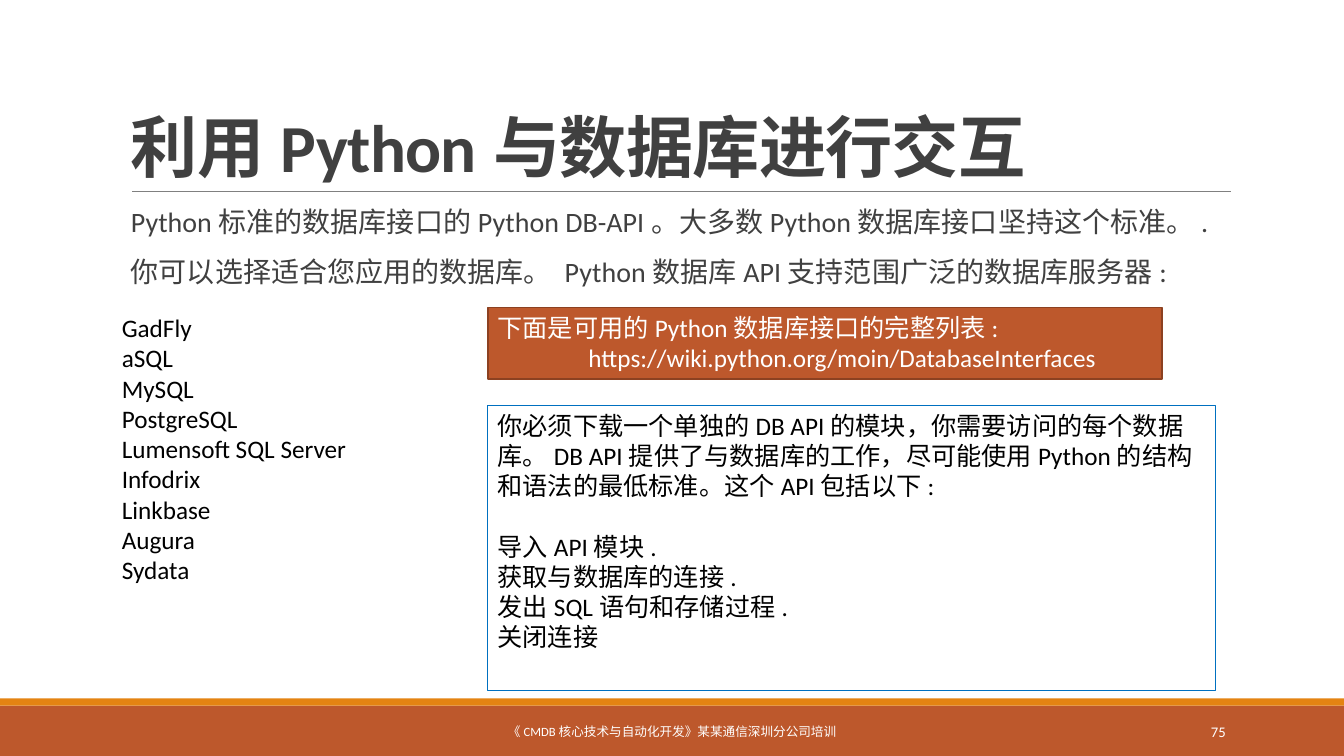
"""Build the slide on working with databases from Python."""
import pptx
import pptx.dml.color
import pptx.enum.shapes
import pptx.enum.text
import pptx.oxml.ns
import pptx.util
from lxml import etree
from pptx.util import Cm

COLORS = {
    "rust": "BD582C", "rust_dark": "8C4121", "orange": "E48312", "blue": "0070C0",
    "gray": "808080", "text": "404040", "black": "000000", "white": "FFFFFF",
}
ALIGN = pptx.enum.text.PP_ALIGN
ANCHOR = pptx.enum.text.MSO_ANCHOR

DATABASES = ["GadFly", "aSQL", "MySQL", "PostgreSQL", "Lumensoft SQL Server",
             "Infodrix", "Linkbase", "Augura", "Sydata"]
INTRO = ["Python标准的数据库接口的Python DB-API。大多数Python数据库接口坚持这个标准。.",
         "你可以选择适合您应用的数据库。 Python数据库API支持范围广泛的数据库服务器:"]
LINK = ["下面是可用的Python数据库接口的完整列表:",
        "https://wiki.python.org/moin/DatabaseInterfaces"]
API = ["你必须下载一个单独的DB API的模块，你需要访问的每个数据库。DB API提供了与数据库的工作，"
       "尽可能使用Python的结构和语法的最低标准。这个API包括以下:",
       "导入API模块.", "获取与数据库的连接.", "发出SQL语句和存储过程.", "关闭连接"]


def rgb(name):
    return pptx.dml.color.RGBColor.from_string(COLORS[name])


def write(sp, lines, size=18, color="black", bold=False, align=ALIGN.LEFT,
          anchor=ANCHOR.TOP, leading=None, before=0, after=0, spacing=None):
    tf = sp.text_frame
    tf.word_wrap = True
    tf.vertical_anchor = anchor
    for i, line in enumerate(lines):
        p = tf.paragraphs[0] if i == 0 else tf.add_paragraph()
        p.alignment = align
        p.line_spacing = leading
        p.space_before = pptx.util.Pt(before if i else 0)
        p.space_after = pptx.util.Pt(after)
        r = p.add_run()
        r.text = line
        r.font.name = "Calibri"
        r.font.size = pptx.util.Pt(size)
        r.font.bold = bold
        r.font.color.rgb = rgb(color)
        if spacing is not None:
            r.font._element.set("spc", str(spacing))
    return tf


def add_text(s, box, lines, **fmt):
    return write(s.shapes.add_textbox(*map(Cm, box)), lines, **fmt)


def add_box(s, box, fill=None, line=None, width=0.75):
    sp = s.shapes.add_shape(pptx.enum.shapes.MSO_SHAPE.RECTANGLE, *map(Cm, box))
    sp.shadow.inherit = False
    if fill:
        sp.fill.solid()
        sp.fill.fore_color.rgb = rgb(fill)
    else:
        sp.fill.background()
    if line:
        sp.line.color.rgb = rgb(line)
        sp.line.width = pptx.util.Pt(width)
    else:
        sp.line.fill.background()
    return sp


def add_rule(s, left, right, y):
    cn = s.shapes.add_connector(pptx.enum.shapes.MSO_CONNECTOR.STRAIGHT,
                                Cm(left), Cm(y), Cm(right), Cm(y))
    cn.line.color.rgb = rgb("gray")
    cn.line.width = pptx.util.Pt(0.5)
    etree.SubElement(cn._element.spPr, pptx.oxml.ns.qn("a:effectLst"))


def main():
    prs = pptx.Presentation()
    prs.slide_width, prs.slide_height = Cm(33.87), Cm(19.05)
    s = prs.slides.add_slide(prs.slide_layouts[6])

    add_box(s, (0, 17.78, 33.87, 1.27), fill="rust")
    add_box(s, (0, 17.6, 33.87, 0.18), fill="orange")
    add_rule(s, 3.33, 31.01, 4.83)
    add_text(s, (10.24, 17.93, 13.39, 1.02), ["《CMDB核心技术与自动化开发》某某通信深圳分公司培训"],
             size=9, color="white", align=ALIGN.CENTER, anchor=ANCHOR.MIDDLE)
    add_text(s, (27.51, 17.93, 3.63, 1.02), ["75"],
             size=10.5, color="white", align=ALIGN.RIGHT, anchor=ANCHOR.MIDDLE)

    add_text(s, (3.05, 0.79, 27.94, 4.04), ["利用Python与数据库进行交互"], size=48,
             color="text", bold=True, anchor=ANCHOR.BOTTOM, leading=0.85, spacing=-50)
    tf = add_text(s, (3.05, 5.13, 27.94, 2.82), INTRO, size=20, color="text",
                  leading=0.9, before=12, after=2)
    tf.margin_right = 0
    add_text(s, (2.82, 7.75, 14.83, 7.95), DATABASES)

    link = add_box(s, (12.29, 7.75, 16.99, 1.8), "rust", "rust_dark", 1.25)
    tf = write(link, LINK, color="white")
    tf.paragraphs[1]._p.get_or_add_pPr().set("marL", str(Cm(2.29)))

    tf = write(add_box(s, (12.29, 10.21, 18.34, 7.19), line="blue"), API)
    tf.paragraphs[1].space_before = pptx.util.Pt(21.6)

    prs.save("out.pptx")


if __name__ == "__main__":
    main()
